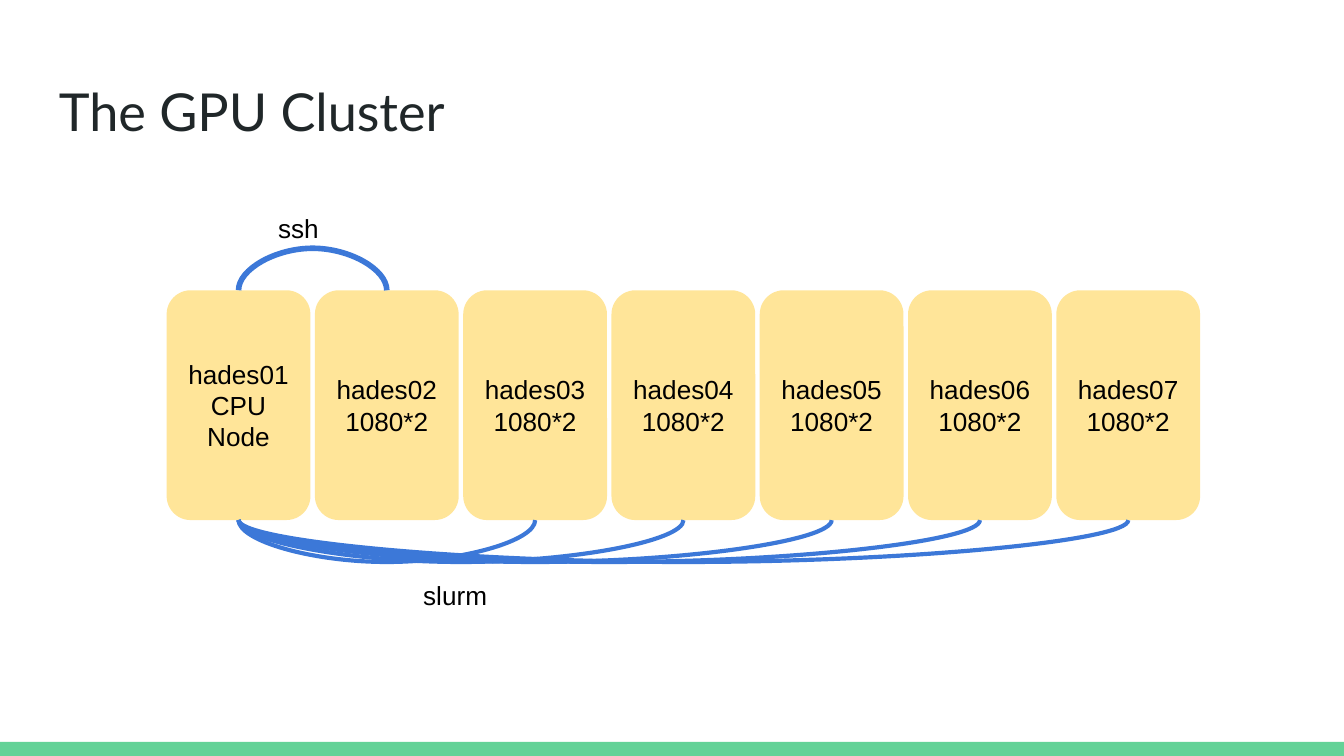
from lxml.etree import SubElement
from pptx import Presentation
from pptx.dml.color import RGBColor
from pptx.enum.shapes import MSO_CONNECTOR, MSO_SHAPE
from pptx.enum.text import MSO_ANCHOR, PP_ALIGN
from pptx.oxml.ns import qn
from pptx.util import Emu, Inches, Pt

GREEN = RGBColor(0x63, 0xD2, 0x97)
YELLOW = RGBColor(0xFF, 0xE5, 0x99)
BLUE = RGBColor(0x3C, 0x78, 0xD8)
DARK = RGBColor(0x20, 0x27, 0x29)
BLACK = RGBColor(0, 0, 0)

PAGE_WIDTH = 10
PAGE_HEIGHT = PAGE_WIDTH * 9 / 16
NODE_COUNT = 7
FIRST_LEFT, LAST_LEFT = 1.24, 7.86
NODE_STEP = (LAST_LEFT - FIRST_LEFT) / (NODE_COUNT - 1)
NODE_TOP, NODE_WIDTH, NODE_HEIGHT = 2.16, 1.07, 1.71
TOP_SITE, BOTTOM_SITE = 0, 2
ARC_THICKNESS = Emu(600)
ARC_BEND = 39687500


def write_lines(shape, lines, size=14, font="Arial", color=BLACK, align=PP_ALIGN.LEFT):
    frame = shape.text_frame
    frame.word_wrap = True
    frame.margin_left = frame.margin_right = Inches(0.1)
    frame.margin_top = frame.margin_bottom = Inches(0.1)
    for index, line in enumerate(lines):
        para = frame.add_paragraph() if index else frame.paragraphs[0]
        para.alignment = align
        span = para.add_run()
        span.text = line
        span.font.size = Pt(size)
        span.font.name = font
        span.font.color.rgb = color
    return frame


def add_label(page, text, left, top, width, height, **style):
    box = page.shapes.add_textbox(Inches(left), Inches(top), Inches(width), Inches(height))
    write_lines(box, [text], **style).vertical_anchor = MSO_ANCHOR.TOP


def add_block(page, kind, left, top, width, height, color):
    block = page.shapes.add_shape(kind, Inches(left), Inches(top), Inches(width), Inches(height))
    block.shadow.inherit = False
    block.fill.solid()
    block.fill.fore_color.rgb = color
    block.line.fill.background()
    return block


def add_node(page, index):
    left = FIRST_LEFT + index * NODE_STEP
    node = add_block(page, MSO_SHAPE.ROUNDED_RECTANGLE, left, NODE_TOP, NODE_WIDTH, NODE_HEIGHT, YELLOW)
    details = ["1080*2"] if index else ["CPU", "Node"]
    frame = write_lines(node, [f"hades{index + 1:02d}", *details], align=PP_ALIGN.CENTER)
    frame.vertical_anchor = MSO_ANCHOR.MIDDLE
    return node


def add_arc(page, start, end, site, bend, weight):
    arc = page.shapes.add_connector(MSO_CONNECTOR.CURVE, 0, 0, 0, 0)
    arc.begin_connect(start, site)
    arc.end_connect(end, site)
    span_length = end.left - start.left
    edge = start.top if site == TOP_SITE else start.top + start.height
    arc.left = start.left + (start.width + span_length - ARC_THICKNESS) // 2
    arc.top = edge - span_length // 2
    arc.width, arc.height = ARC_THICKNESS, span_length
    arc.line.color.rgb = BLUE
    arc.line.width = Pt(weight)

    properties = arc._element.spPr
    frame = properties.find(qn("a:xfrm"))
    frame.set("rot", str(270 * 60000))
    frame.set("flipH", "1")
    frame.attrib.pop("flipV", None)
    guides = properties.find(qn("a:prstGeom")).find(qn("a:avLst"))
    SubElement(guides, qn("a:gd"), name="adj1", fmla=f"val {bend}")
    SubElement(properties, qn("a:effectLst"))


def main():
    deck = Presentation()
    deck.slide_width, deck.slide_height = Inches(PAGE_WIDTH), Inches(PAGE_HEIGHT)
    page = deck.slides.add_slide(deck.slide_layouts[6])

    add_block(page, MSO_SHAPE.RECTANGLE, 0, 5.52, PAGE_WIDTH, 0.11, GREEN)
    add_label(page, "The GPU Cluster", 0.34, 0.49, 9.32, 0.63, size=28, font="Lato", color=DARK)

    nodes = [add_node(page, index) for index in range(NODE_COUNT)]
    add_arc(page, nodes[0], nodes[1], TOP_SITE, -ARC_BEND, 3)
    for node in nodes[2:]:
        add_arc(page, nodes[0], node, BOTTOM_SITE, ARC_BEND, 2.25)

    add_label(page, "ssh", 1.97, 1.48, 1.28, 0.63)
    add_label(page, "slurm", 3.05, 4.21, 3.21, 0.46)
    deck.save("out.pptx")


if __name__ == "__main__":
    main()
